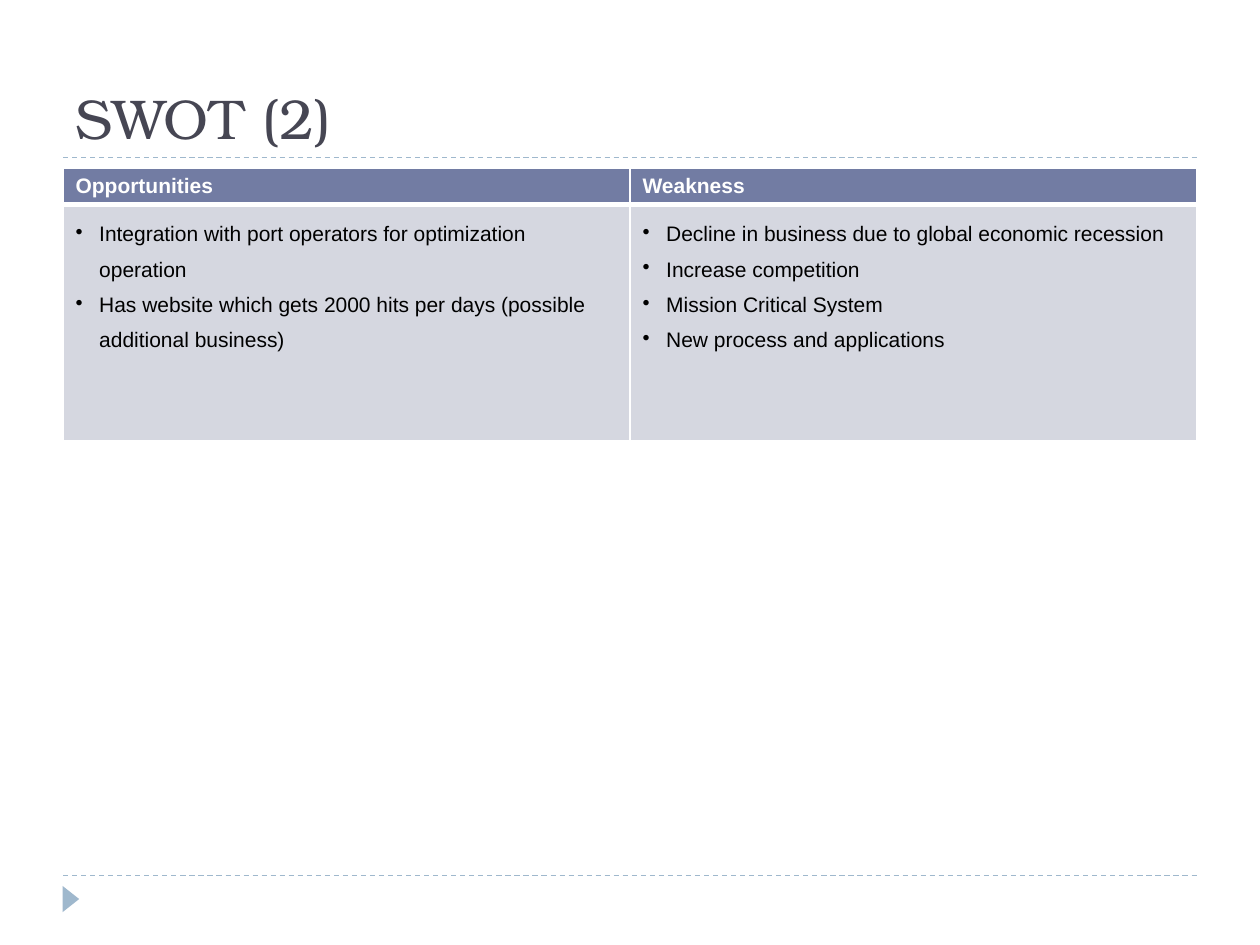
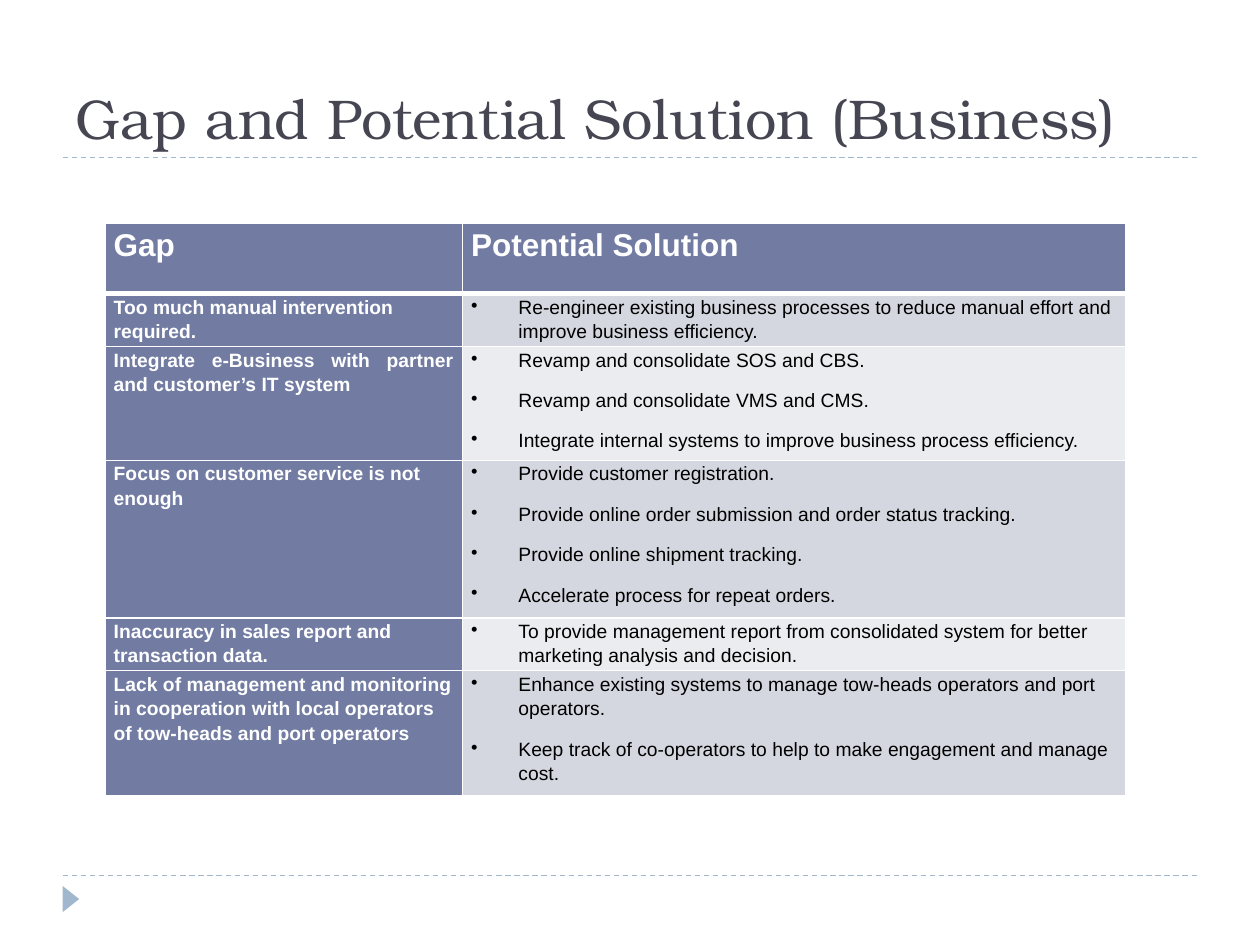
from lxml import etree
from pptx import Presentation
from pptx.dml.color import RGBColor
from pptx.enum.dml import MSO_LINE
from pptx.enum.shapes import MSO_CONNECTOR, MSO_SHAPE
from pptx.enum.text import MSO_ANCHOR, MSO_AUTO_SIZE, PP_ALIGN
from pptx.oxml.ns import qn
from pptx.util import Pt

LEFT, JUSTIFY = PP_ALIGN.LEFT, PP_ALIGN.JUSTIFY
BOTTOM = MSO_ANCHOR.BOTTOM
NO_AUTOFIT = MSO_AUTO_SIZE.NONE
DASH = MSO_LINE.DASH
STRAIGHT = MSO_CONNECTOR.STRAIGHT
TRIANGLE = MSO_SHAPE.ISOSCELES_TRIANGLE

WHITE, BLACK = "FFFFFF", "000000"
TITLE_COLOR, ACCENT = "464653", "9FB8CD"
HEADER_FILL, BANDS = "727CA3", ("D5D7E0", "EBECF0")
TITLE_FONT, BODY_FONT = "TeX Gyre Bonum", "Arial"

SLIDE_SIZE = (720, 540)
MARGIN, CONTENT_WIDTH = 36, 648
TITLE_TOP, TITLE_RULE, FOOTER_RULE = 12.24, 90, 500.4

SWOT_TITLE = "SWOT (2)"
SWOT = {
    "Opportunities": [
        "Integration with port operators for optimization operation",
        "Has website which gets 2000 hits per days (possible additional business)",
    ],
    "Weakness": [
        "Decline in business due to global economic recession",
        "Increase competition",
        "Mission Critical System",
        "New process and applications",
    ],
}

GAP_TITLE = "Gap and Potential Solution (Business)"
GAP_HEADERS = ("Gap", "Potential Solution")
# gap, alignment of the gap, row height, solutions
GAPS = [
    ("Too much manual intervention required.", LEFT, 30.24, [
        "Re-engineer existing business processes to reduce manual effort and "
        "improve business efficiency.",
    ]),
    ("Integrate e-Business with partner and customer’s IT system", JUSTIFY, 65, [
        "Revamp and consolidate SOS and CBS.",
        "Revamp and consolidate VMS and CMS.",
        "Integrate internal systems to improve business process efficiency.",
    ]),
    ("Focus on customer service is not enough", LEFT, 90, [
        "Provide customer registration.",
        "Provide online order submission and order status tracking.",
        "Provide online shipment tracking.",
        "Accelerate process for repeat orders.",
    ]),
    ("Inaccuracy in sales report and transaction data.", LEFT, 30.24, [
        "To provide management report from consolidated system for better "
        "marketing analysis and decision.",
    ]),
    ("Lack of management and monitoring in cooperation with local operators of "
     "tow-heads and port operators", LEFT, 71.28, [
        "Enhance existing systems to manage tow-heads operators and port operators.",
        "Keep track of co-operators to help to make engagement and manage cost.",
    ]),
]


def rgb(value):
    return RGBColor.from_string(value)


def write(frame, lines, size, color, font=BODY_FONT, bold=False, align=LEFT,
          spacing=None, before=None, after=None, bullet_indent=None):
    """Fill a text frame, one paragraph per line; bullet_indent turns on bullets."""
    for index, line in enumerate(lines):
        paragraph = frame.add_paragraph() if index else frame.paragraphs[0]
        paragraph.alignment = align
        if spacing:
            paragraph.line_spacing = spacing
        if before is not None:
            paragraph.space_before, paragraph.space_after = Pt(before), Pt(after)
        if bullet_indent:
            properties = paragraph._p.get_or_add_pPr()
            properties.set("marL", str(Pt(bullet_indent)))
            properties.set("indent", str(-Pt(bullet_indent)))
            etree.SubElement(properties, qn("a:buChar"), char="•")
        run = paragraph.add_run()
        run.text = line
        run.font.name, run.font.size, run.font.bold = font, Pt(size), bold
        run.font.color.rgb = rgb(color)


def add_rule(slide, y):
    rule = slide.shapes.add_connector(
        STRAIGHT, Pt(MARGIN), Pt(y), Pt(MARGIN + CONTENT_WIDTH), Pt(y))
    rule.line.color.rgb = rgb(ACCENT)
    rule.line.width = Pt(0.75)
    rule.line.dash_style = DASH
    etree.SubElement(rule._element.spPr, qn("a:effectLst"))


def add_titled_slide(deck, heading):
    slide = deck.slides.add_slide(deck.slide_layouts[5])
    for y in (FOOTER_RULE, TITLE_RULE):
        add_rule(slide, y)

    marker = slide.shapes.add_shape(TRIANGLE, Pt(33), Pt(509), Pt(15), Pt(9.5))
    marker.rotation = 90
    marker.shadow.inherit = False
    marker.fill.solid()
    marker.fill.fore_color.rgb = rgb(ACCENT)
    marker.line.fill.background()

    title = slide.shapes.title
    title.left, title.top = Pt(MARGIN), Pt(TITLE_TOP)
    title.width, title.height = Pt(CONTENT_WIDTH), Pt(TITLE_RULE - TITLE_TOP)
    title.text_frame.auto_size = NO_AUTOFIT
    title.text_frame.vertical_anchor = BOTTOM
    write(title.text_frame, [heading], 32, TITLE_COLOR, font=TITLE_FONT)
    return slide


def style_cell(cell, fill, row):
    """Set the fill and white borders, thicker between the header and the body."""
    cell.fill.solid()
    cell.fill.fore_color.rgb = rgb(fill)
    properties = cell._tc.get_or_add_tcPr()
    for index, side in enumerate("LRTB"):
        width = 3 if (row, side) in ((0, "B"), (1, "T")) else 1
        border = etree.Element(qn(f"a:ln{side}"), w=str(Pt(width)))
        paint = etree.SubElement(border, qn("a:solidFill"))
        etree.SubElement(paint, qn("a:srgbClr"), val=WHITE)
        properties.insert(index, border)


def add_grid(slide, left, top, widths, heights):
    grid = slide.shapes.add_table(
        len(heights), len(widths), Pt(left), Pt(top),
        Pt(sum(widths)), Pt(sum(heights))).table
    grid.horz_banding = grid.first_row = False
    for column, width in zip(grid.columns, widths):
        column.width = Pt(width)
    for row, height in zip(grid.rows, heights):
        row.height = Pt(height)
    return grid


def build_swot(deck):
    slide = add_titled_slide(deck, SWOT_TITLE)
    grid = add_grid(slide, MARGIN, 96, [CONTENT_WIDTH / len(SWOT)] * len(SWOT),
                    [21, 134.64])
    for column, (heading, points) in enumerate(SWOT.items()):
        header, body = grid.cell(0, column), grid.cell(1, column)
        style_cell(header, HEADER_FILL, 0)
        style_cell(body, BANDS[0], 1)
        write(header.text_frame, [heading], 12, WHITE, bold=True)
        write(body.text_frame, points, 12, BLACK, spacing=1.5, bullet_indent=13.5)


def build_gaps(deck):
    slide = add_titled_slide(deck, GAP_TITLE)
    heights = [40.32] + [height for _, _, height, _ in GAPS]
    grid = add_grid(slide, 60, 127.5, [204.25, 379.25], heights)
    rhythm = dict(spacing=1.15, before=6, after=3)

    for cell in grid.iter_cells():
        cell.margin_left = cell.margin_right = Pt(5)
        cell.margin_top = cell.margin_bottom = 0

    for column, heading in enumerate(GAP_HEADERS):
        header = grid.cell(0, column)
        style_cell(header, HEADER_FILL, 0)
        write(header.text_frame, [heading], 18, WHITE, bold=True, **rhythm)

    for row, (gap, align, _, solutions) in enumerate(GAPS, start=1):
        gap_cell, solution_cell = grid.cell(row, 0), grid.cell(row, 1)
        style_cell(gap_cell, HEADER_FILL, row)
        style_cell(solution_cell, BANDS[(row - 1) % 2], row)
        write(gap_cell.text_frame, [gap], 11, WHITE, bold=True, align=align, **rhythm)
        write(solution_cell.text_frame, solutions, 11, BLACK, bullet_indent=27, **rhythm)


def main():
    deck = Presentation()
    deck.slide_width, deck.slide_height = map(Pt, SLIDE_SIZE)
    build_swot(deck)
    build_gaps(deck)
    deck.save("out.pptx")


if __name__ == "__main__":
    main()
